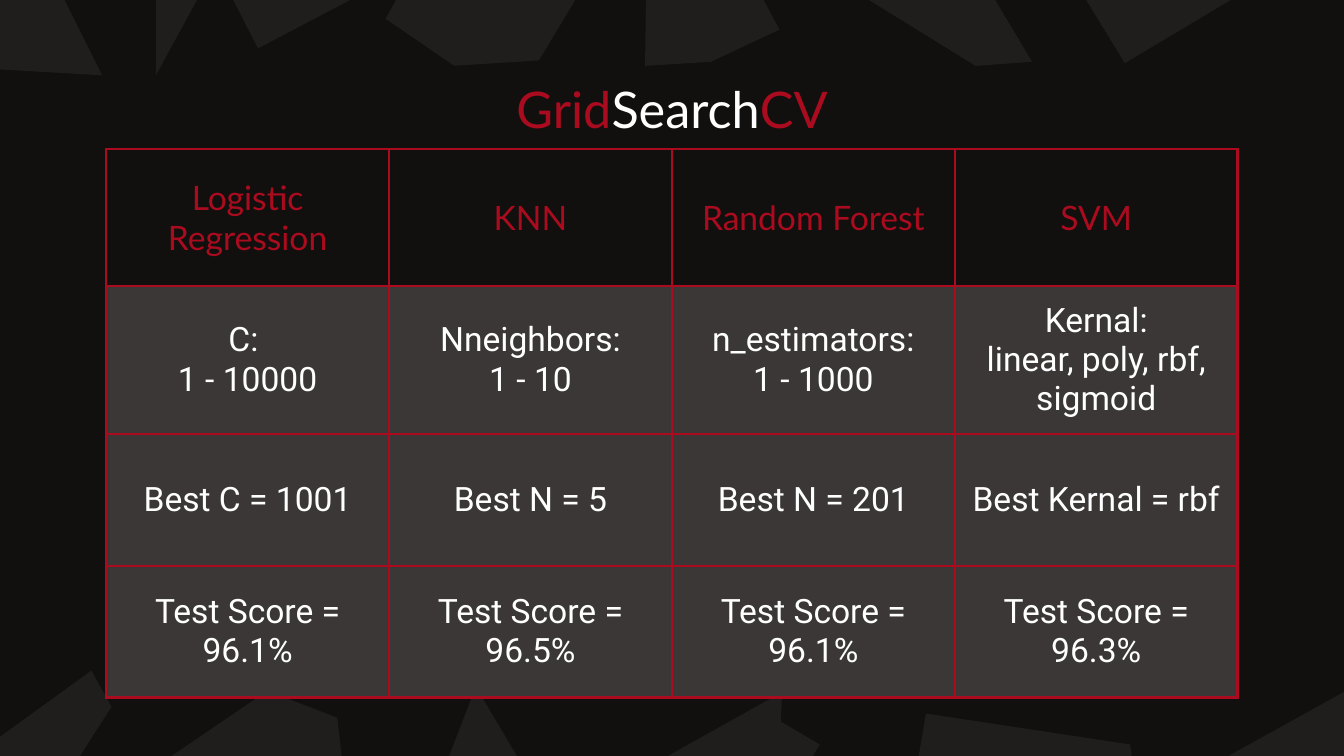
from lxml import etree
from pptx import Presentation
from pptx.dml.color import RGBColor
from pptx.enum import text
from pptx.oxml import ns
from pptx.util import Inches, Pt

BLACK = RGBColor(0x12, 0x10, 0x0E)
SHARD = RGBColor(0x20, 0x1E, 0x1D)
RED = RGBColor(0xAA, 0x0B, 0x1E)
GREY = RGBColor(0x3A, 0x37, 0x36)
WHITE = RGBColor(0xFF, 0xFF, 0xFF)

LEFT, WIDTH = 0.79, 8.42
TOP_SHARDS = [
    [(0.76, 0.56), (0.31, -0.34), (0.42, -0.61), (-0.29, -0.61), (-0.29, 0.5)],
    [(1.16, 0.56), (1.8, -0.61), (1.16, -0.61)],
    [(3.38, 0.49), (4.01, 0.45), (4.63, -0.58), (4.37, -1.04), (3.52, -1.04), (2.87, 0.14)],
    [(4.8, 0.49), (5.29, 0.46), (5.8, 0.22), (5.13, -1.03), (4.82, -1.03)],
    [(7.26, 0.49), (7.68, 0.46), (6.79, -1.03), (5.9, -1.03), (5.85, -0.38)],
    [(1.92, 0.36), (2.7, -0.05), (1.71, -0.05)],
    [(8.37, 0.47), (9.76, -0.36), (10.06, -0.31), (10.06, -1.02), (7.46, -1.02)],
]
BOTTOM_SHARDS = [
    [(2.51, 5.34), (1.99, 5.14), (1.02, 5.8), (1.47, 6.46), (2.55, 5.69)],
    [(10.06, 5.7), (10.07, 5.11), (9.15, 5.62), (9.13, 5.7)],
    [(8.42, 5.63), (8.41, 5.54), (6.89, 5.31), (6.72, 6.31)],
    [(5.58, 6.41), (6.1, 5.54), (5.81, 5.37), (5.82, 5.15), (4.64, 5.81), (4.63, 6.41)],
    [(4.08, 6.02), (3.54, 5.11), (3.19, 6.02)],
    [(0.47, 5.82), (0.83, 5.26), (0.68, 4.99), (-0.23, 5.65), (-0.23, 5.82)],
]

TITLE = [("Grid", RED), ("Search", WHITE), ("CV", RED)]
ROW_HEIGHTS = [1.02, 1.08, 0.98, 0.98]
ROWS = [
    ["Logistic Regression", "KNN", "Random Forest", "SVM"],
    ["C: \n1 - 10000", "Nneighbors:\n1 - 10", "n_estimators:\n1 - 1000",
     "Kernal:\nlinear, poly, rbf, sigmoid"],
    ["Best C = 1001", "Best N = 5", "Best N = 201", "Best Kernal = rbf"],
    [f"Test Score = {score}%" for score in (96.1, 96.5, 96.1, 96.3)],
]


def add_shard(slide, points):
    start, *others = [(Inches(x), Inches(y)) for x, y in points]
    builder = slide.shapes.build_freeform(*start)
    builder.add_line_segments(others, close=True)
    sp = builder.convert_to_shape()
    sp.shadow.inherit = False
    sp.fill.solid()
    sp.fill.fore_color.rgb = SHARD
    sp.line.fill.background()


def format_run(r, font, size, color):
    r.font.name = font
    r.font.size = Pt(size)
    r.font.bold = False
    r.font.color.rgb = color


def set_margins(box, side=0.1):
    """Set the insets of a text frame or table cell."""
    box.margin_left = box.margin_right = Inches(side)
    box.margin_top = box.margin_bottom = Inches(0.1)
    box.vertical_anchor = text.MSO_ANCHOR.MIDDLE


def add_title(slide):
    sp = slide.shapes.add_textbox(Inches(LEFT), Inches(0.49), Inches(WIDTH), Inches(0.63))
    tf = sp.text_frame
    tf.word_wrap = True
    set_margins(tf)
    p = tf.paragraphs[0]
    p.alignment = text.PP_ALIGN.CENTER
    for part, color in TITLE:
        r = p.add_run()
        r.text = part
        format_run(r, "Lato", 27, color)


def set_borders(cell):
    tc_pr = cell._tc.get_or_add_tcPr()
    for side in ("L", "R", "T", "B"):
        line = etree.SubElement(tc_pr, ns.qn(f"a:ln{side}"), w=str(Pt(1.5)))
        fill = etree.SubElement(line, ns.qn("a:solidFill"))
        etree.SubElement(fill, ns.qn("a:srgbClr"), val=str(RED))


def fill_cell(cell, content, is_header, side):
    set_margins(cell, side)
    set_borders(cell)
    if is_header:
        cell.fill.background()
    else:
        cell.fill.solid()
        cell.fill.fore_color.rgb = GREY
    cell.text_frame.text = content
    for p in cell.text_frame.paragraphs:
        p.alignment = text.PP_ALIGN.CENTER
        for r in p.runs:
            format_run(r, "Lato" if is_header else "Roboto", 18, RED if is_header else WHITE)


def add_results_table(slide):
    n_cols = len(ROWS[0])
    frame = slide.shapes.add_table(len(ROWS), n_cols, Inches(LEFT), Inches(1.11),
                                   Inches(WIDTH), Inches(sum(ROW_HEIGHTS)))
    table = frame.table
    table.first_row = table.horz_banding = False
    for row, height in zip(table.rows, ROW_HEIGHTS):
        row.height = Inches(height)
    for i, row in enumerate(ROWS):
        for j, content in enumerate(row):
            side = 0 if (i, j) == (0, n_cols - 1) else 0.1
            fill_cell(table.cell(i, j), content, i == 0, side)


def main():
    prs = Presentation()
    prs.slide_width = Inches(10)
    prs.slide_height = prs.slide_width * 9 // 16
    slide = prs.slides.add_slide(prs.slide_layouts[6])
    slide.background.fill.solid()
    slide.background.fill.fore_color.rgb = BLACK
    for points in TOP_SHARDS + BOTTOM_SHARDS:
        add_shard(slide, points)
    add_title(slide)
    add_results_table(slide)
    prs.save("out.pptx")


if __name__ == "__main__":
    main()
